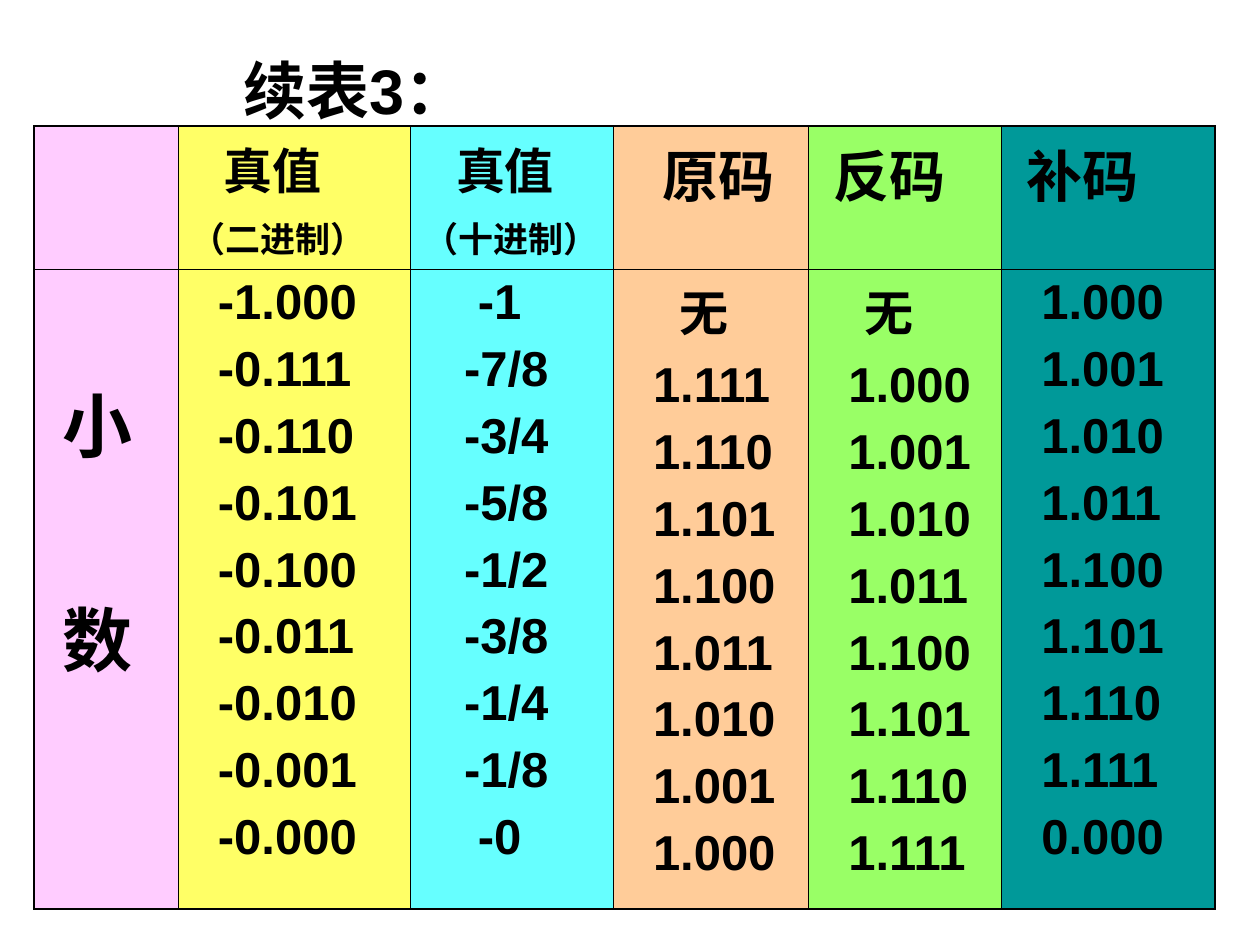
from lxml import etree
from pptx import Presentation
from pptx.dml.color import RGBColor
from pptx.enum.text import MSO_ANCHOR
from pptx.oxml.ns import qn
from pptx.util import Cm, Pt

MIDDLE = MSO_ANCHOR.MIDDLE
TOP = MSO_ANCHOR.TOP
COLORS = {
    "text": "000000",
    "pink": "FFCCFF",
    "yellow": "FFFF66",
    "cyan": "66FFFF",
    "orange": "FFCC99",
    "green": "99FF66",
    "teal": "009999",
}
THIN, THICK = 0.45, 1.08


class SlideBuilder:
    font_name = "Arial"

    def __init__(self, slide):
        self.slide = slide

    def add_lines(self, text_frame, lines):
        for index, (text, size, indent, space) in enumerate(lines):
            paragraph = text_frame.paragraphs[0] if index == 0 else text_frame.add_paragraph()
            paragraph.text = text
            properties = paragraph._p.get_or_add_pPr()
            properties.set("marL", str(Cm(indent)))
            properties.set("indent", "0")
            paragraph.space_before = Pt(space if index else 0)
            paragraph.font.name = self.font_name
            paragraph.font.size = Pt(size)
            paragraph.font.bold = True
            paragraph.font.color.rgb = RGBColor.from_string(COLORS["text"])

    def text_box(self, left, top, width, height, text, size):
        shape = self.slide.shapes.add_textbox(Cm(left), Cm(top), Cm(width), Cm(height))
        shape.text_frame.word_wrap = True
        shape.text_frame.vertical_anchor = MIDDLE
        self.add_lines(shape.text_frame, [(text, size, 0, 0)])

    def border(self, cell, side, width):
        properties = cell._tc.get_or_add_tcPr()
        line = etree.SubElement(properties, qn(f"a:ln{side}"), w=str(Pt(width)))
        fill = etree.SubElement(line, qn("a:solidFill"))
        etree.SubElement(fill, qn("a:srgbClr"), val=COLORS["text"])

    def table(self, left, top, widths, heights, columns):
        frame = self.slide.shapes.add_table(
            len(heights), len(widths), Cm(left), Cm(top), Cm(sum(widths)), Cm(sum(heights))
        )
        table = frame.table
        table.first_row = False
        table.horz_banding = False
        for row, height in zip(table.rows, heights):
            row.height = Cm(height)
        last_row, last_column = len(heights) - 1, len(widths) - 1
        for column_index, (color, *contents) in enumerate(columns):
            table.columns[column_index].width = Cm(widths[column_index])
            for row_index, lines in enumerate(contents):
                cell = table.cell(row_index, column_index)
                edges = {
                    "L": column_index == 0,
                    "R": column_index == last_column,
                    "T": row_index == 0,
                    "B": row_index == last_row,
                }
                for side, outer in edges.items():
                    self.border(cell, side, THICK if outer else THIN)
                cell.fill.solid()
                cell.fill.fore_color.rgb = RGBColor.from_string(COLORS[color])
                cell.vertical_anchor = TOP
                self.add_lines(cell.text_frame, lines)
        return table


def true_value_header(base):
    return [("真值", 28, 0.66, 0), (base, 20, 0, 5)]


def code_header(name, indent):
    return [(name, 32, indent, 0)]


def values(text, indent, special_indents=None):
    special_indents = special_indents or {}
    return [(value, 28, special_indents.get(value, indent), 7) for value in text.split()]


def main():
    presentation = Presentation()
    presentation.slide_width = Cm(25.4)
    presentation.slide_height = Cm(19.05)
    slide = presentation.slides.add_slide(presentation.slide_layouts[6])
    builder = SlideBuilder(slide)

    codes = "1.000 1.001 1.010 1.011 1.100 1.101 1.110 1.111"
    descending_codes = " ".join(reversed(codes.split()))
    binary = "-1.000 -0.111 -0.110 -0.101 -0.100 -0.011 -0.010 -0.001 -0.000"
    decimal = "-1 -7/8 -3/4 -5/8 -1/2 -3/8 -1/4 -1/8 -0"
    columns = [
        ("pink", [], [("小", 40, 0.32, 0), ("数", 40, 0.32, 64.7)]),
        ("yellow", true_value_header("（二进制）"), values(binary, 0.55)),
        ("cyan", true_value_header("（十进制）"), values(decimal, 0.82, {"-1": 1.1, "-0": 1.1})),
        ("orange", code_header("原码", 0.75), values(f"无 {descending_codes}", 0.55, {"无": 1.09})),
        ("green", code_header("反码", 0.25), values(f"无 {codes}", 0.55, {"无": 0.88})),
        ("teal", code_header("补码", 0.25), values(f"{codes} 0.000", 0.55)),
    ]
    table = builder.table(
        0.69, 2.54, [2.9, 4.69, 4.08, 3.94, 3.89, 4.31], [2.88, 12.9], columns
    )
    table.cell(1, 0).margin_top = Cm(2.06)
    builder.text_box(4.65, 0.64, 19.48, 2.34, "续表3：", 36)
    presentation.save("out.pptx")


if __name__ == "__main__":
    main()
